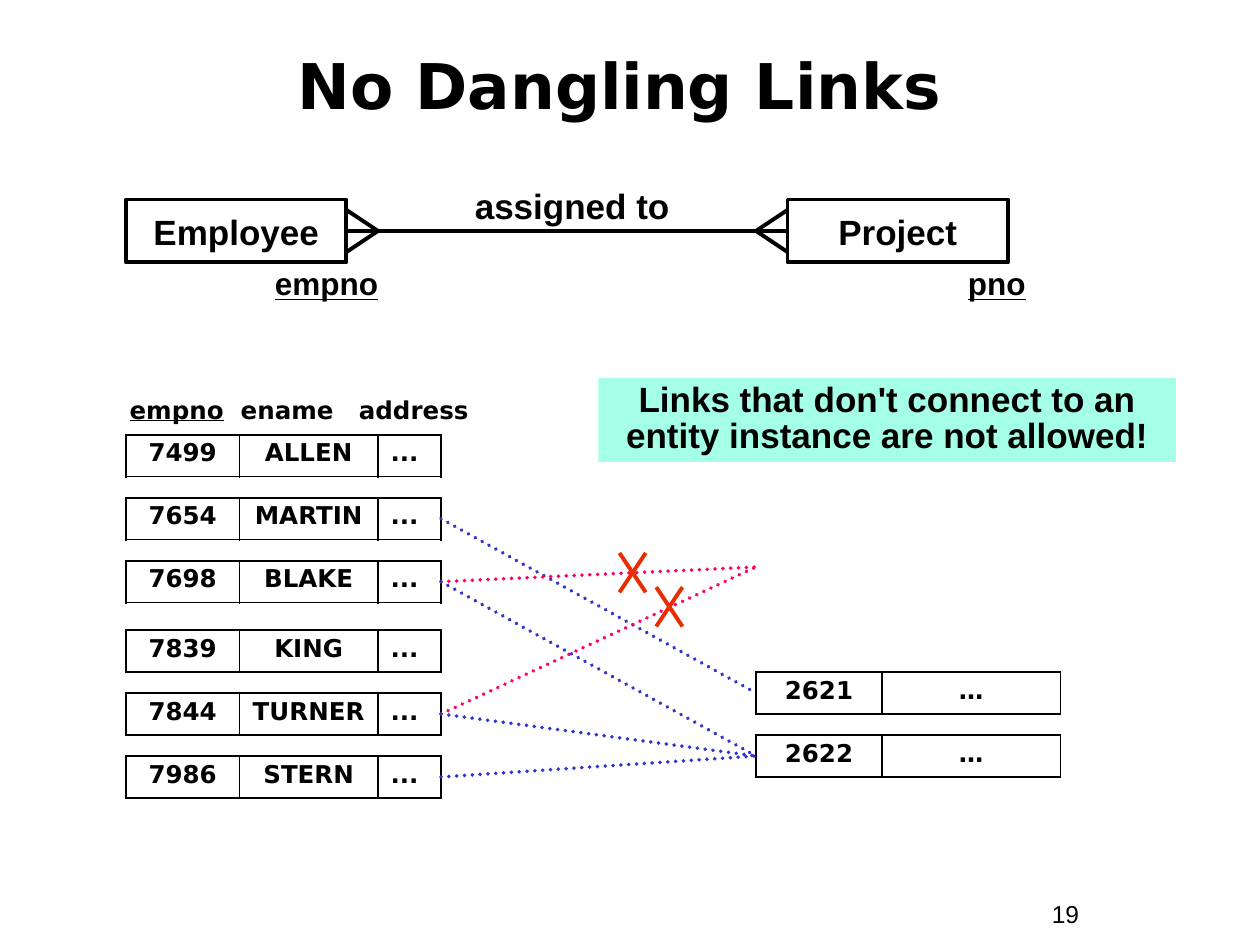
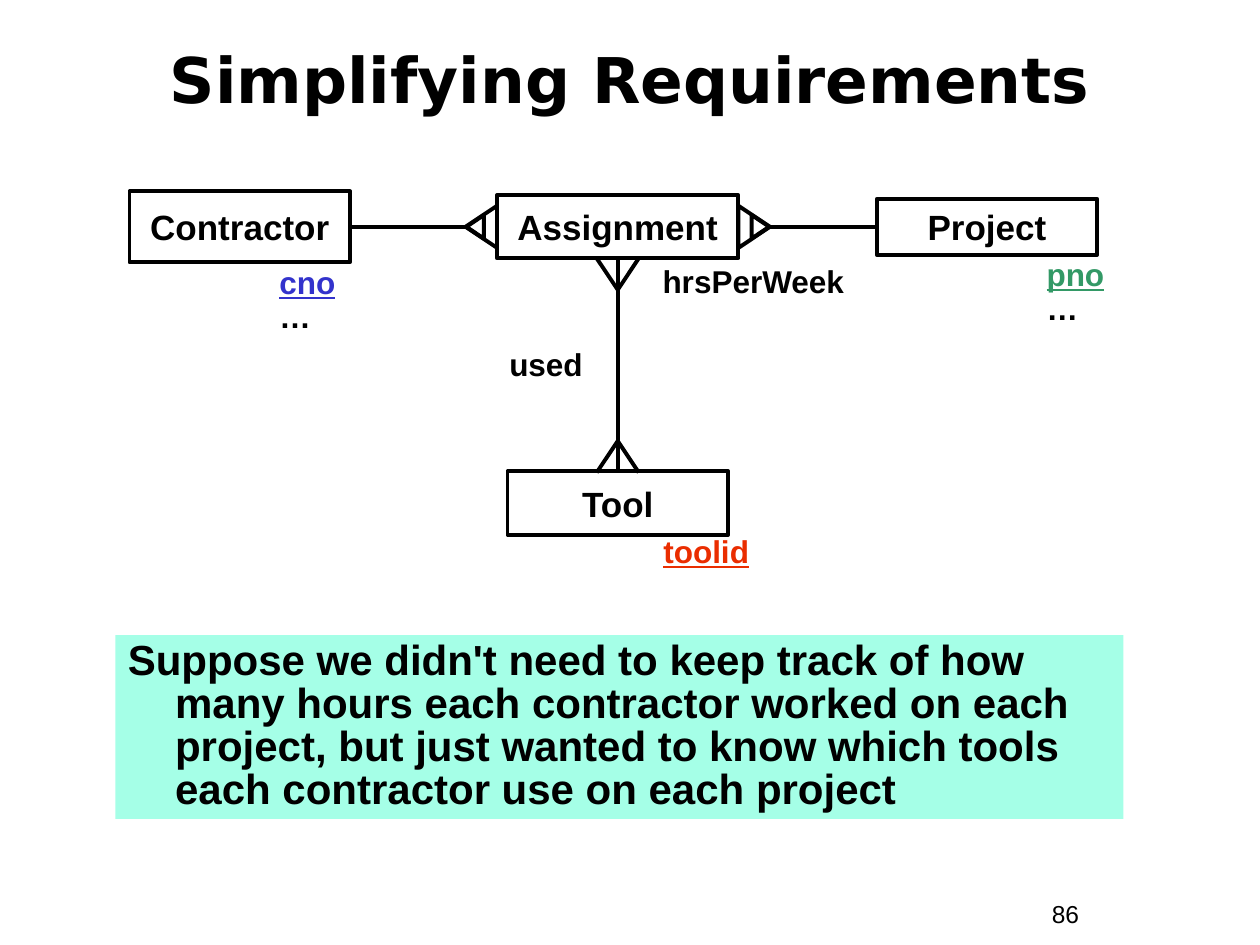
from lxml import etree
from pptx import Presentation
from pptx.dml.color import RGBColor
from pptx.enum import dml, shapes, text
from pptx.oxml import ns
from pptx.util import Pt

BLACK, MINT, BLUE, PINK, RED, GREEN = "000000", "A5FFE7", "3333CC", "FF0066", "EA2D00", "339966"
BODY_FONT, TITLE_FONT = "Arial", "DejaVu Sans"
LINE_WIDTH = 2.25
CENTER, LEFT = text.PP_ALIGN.CENTER, text.PP_ALIGN.LEFT
colour_of = RGBColor.from_string


def add_text(page, words, left, top, width, height, size=18, font=BODY_FONT, colour=BLACK,
             bold=True, underline=False, align=LEFT, spacing=1.0, middle=False,
             fill=None, outline=False):
    frame = Pt(left), Pt(top), Pt(width), Pt(height)
    if fill or outline:
        box = page.shapes.add_shape(shapes.MSO_SHAPE.RECTANGLE, *frame)
        box.shadow.inherit = False
        if fill:
            box.fill.solid()
            box.fill.fore_color.rgb = colour_of(fill)
            box.line.fill.background()
        else:
            box.fill.background()
            box.line.color.rgb = colour_of(BLACK)
            box.line.width = Pt(LINE_WIDTH)
    else:
        box = page.shapes.add_textbox(*frame)
    box.text_frame.word_wrap = True
    box.text_frame.vertical_anchor = text.MSO_ANCHOR.MIDDLE if middle else text.MSO_ANCHOR.TOP
    box.text_frame.text = words
    for para in box.text_frame.paragraphs:
        para.alignment = align
        para.line_spacing = spacing
        for span in para.runs:
            span.font.size = Pt(size)
            span.font.name = font
            span.font.bold = bold
            span.font.underline = underline
            span.font.color.rgb = colour_of(colour)
    return box


def add_line(page, x1, y1, x2, y2, colour=BLACK, dotted=False):
    line = page.shapes.add_connector(shapes.MSO_CONNECTOR.STRAIGHT, Pt(x1), Pt(y1), Pt(x2), Pt(y2))
    line.line.color.rgb = colour_of(colour)
    line.line.width = Pt(LINE_WIDTH)
    if dotted:
        line.line.dash_style = dml.MSO_LINE.ROUND_DOT
        line.line._get_or_add_ln().set("cap", "rnd")
    etree.SubElement(line._element.spPr, ns.qn("a:effectLst"))
    return line


deck = Presentation()
deck.slide_width, deck.slide_height = Pt(720), Pt(540)

pages = []
for title, number, left, width, spacing in [
    ("No Dangling Links", "19", 18, 672, 1.0),
    ("Simplifying Requirements", "86", 12, 696, 0.85),
]:
    page = deck.slides.add_slide(deck.slide_layouts[6])
    add_text(page, number, 594, 510, 66, 24, size=14, bold=False)
    add_text(page, title, left, 24, width, 48, size=36, font=TITLE_FONT, align=CENTER,
             spacing=spacing, middle=True)
    pages.append(page)
links_page, simplify_page = pages

entity_style = dict(size=20, align=CENTER, middle=True, outline=True)
key_style = dict(underline=True, spacing=0.9)

employee = add_text(links_page, "Employee", 72, 114, 126, 36, **entity_style)
project = add_text(links_page, "Project", 450, 114, 126, 36, **entity_style)
assigned = add_line(links_page, 198, 132, 450, 132)
assigned.begin_connect(employee, 3)
assigned.end_connect(project, 1)
for tip, base in [(216, 198), (432, 450)]:
    for spread in (-12, 12):
        add_line(links_page, tip, 132, base, 132 + spread)
add_text(links_page, "assigned to", 252, 102, 150, 32, size=20, align=CENTER)
add_text(links_page, "empno", 150, 150, 84, 27, **key_style)
add_text(links_page, "pno", 546, 150, 84, 27, **key_style)

header = add_text(links_page, "empno", 67, 222, 260, 24, size=14, font=TITLE_FONT, underline=True)
para = header.text_frame.paragraphs[0]
tabs = etree.SubElement(para._p.get_or_add_pPr(), ns.qn("a:tabLst"))
for stop in (63.5, 131):
    etree.SubElement(tabs, ns.qn("a:tab"), pos=str(Pt(stop)), algn="l")
span = para.add_run()
span.text = "\tename\taddress"
span.font.size = Pt(14)
span.font.name = TITLE_FONT
span.font.bold = True
span.font.color.rgb = colour_of(BLACK)

ROW_HEIGHT = 24
employee_tops = {"7499": 248.4, "7654": 284.4, "7698": 320.4, "7839": 360, "7844": 396, "7986": 432}
project_tops = {"2621": 384, "2622": 420}
names = ["ALLEN", "MARTIN", "BLAKE", "KING", "TURNER", "STERN"]
records = [((empno, name, "..."), 72, top, (64.8, 79.2, 36))
           for (empno, top), name in zip(employee_tops.items(), names)]
records += [((pno, "…"), 432, top, (72, 102)) for pno, top in project_tops.items()]

for values, left, top, widths in records:
    table = links_page.shapes.add_table(1, len(values), Pt(left), Pt(top), Pt(sum(widths)),
                                        Pt(ROW_HEIGHT)).table
    table.first_row = table.horz_banding = False
    for column, (value, width) in enumerate(zip(values, widths)):
        table.columns[column].width = Pt(width)
        cell = table.cell(0, column)
        cell.fill.background()
        cell.text_frame.text = value
        para = cell.text_frame.paragraphs[0]
        para.alignment = LEFT if value == "..." else CENTER
        para.line_spacing = 0.9
        font = para.runs[0].font
        font.size, font.name, font.bold = Pt(14), TITLE_FONT, True
        font.color.rgb = colour_of(BLACK)
        properties = cell._tc.get_or_add_tcPr()
        for position, side in enumerate(("lnL", "lnR", "lnT", "lnB")):
            border = etree.Element(ns.qn("a:" + side), w=str(Pt(1.08)))
            paint = etree.SubElement(border, ns.qn("a:solidFill"))
            etree.SubElement(paint, ns.qn("a:srgbClr"), val=BLACK)
            properties.insert(position, border)

MISSING_PROJECT_Y = 324
for empno, pno in [("7654", "2621"), ("7698", None), ("7698", "2622"),
                   ("7844", None), ("7844", "2622"), ("7986", "2622")]:
    end_y = project_tops[pno] + ROW_HEIGHT / 2 if pno else MISSING_PROJECT_Y
    add_line(links_page, 252, employee_tops[empno] + ROW_HEIGHT / 2, 432, end_y,
             BLUE if pno else PINK, dotted=True)

add_text(links_page, "Links that don't connect to an entity instance are not allowed!",
         342, 216, 330, 48, size=20, align=CENTER, spacing=0.85, fill=MINT)

for left, top in [(354, 316), (375, 335.5)]:
    right, bottom = left + 15, top + 22.5
    add_line(links_page, right, top, left, bottom, RED)
    add_line(links_page, left, top, right, bottom, RED)

AXIS_X, AXIS_Y = 353, 129.6
entities = {}
for name, center_x, center_y, width, height in [
    ("Tool", AXIS_X, 287.5, 126, 36.5),
    ("Contractor", 137, AXIS_Y, 126, 40.5),
    ("Project", 564, AXIS_Y, 126, 32),
    ("Assignment", AXIS_X, AXIS_Y, 138, 36),
]:
    entities[name] = add_text(simplify_page, name, center_x - width / 2, center_y - height / 2,
                              width, height, **entity_style)

used = add_line(simplify_page, AXIS_X, 147.6, AXIS_X, 269.25)
used.begin_connect(entities["Assignment"], 2)
used.end_connect(entities["Tool"], 0)
for tip, base in [(165.6, 147.6), (252, 270)]:
    for spread in (-12, 12):
        add_line(simplify_page, AXIS_X, tip, AXIS_X + spread, base)

contractor_line = add_line(simplify_page, 200, AXIS_Y, 266, AXIS_Y)
contractor_line.begin_connect(entities["Contractor"], 3)
project_line = add_line(simplify_page, 440, AXIS_Y, 501, AXIS_Y)
project_line.end_connect(entities["Project"], 1)

for direction, rotation in [(1, 90), (-1, 270)]:
    for offset, width, height in [(78, 24, 18), (81.5, 13.5, 10)]:
        center_x = AXIS_X + direction * offset
        triangle = simplify_page.shapes.add_shape(
            shapes.MSO_SHAPE.ISOSCELES_TRIANGLE, Pt(center_x - width / 2),
            Pt(AXIS_Y - height / 2), Pt(width), Pt(height))
        triangle.rotation = rotation
        triangle.shadow.inherit = False
        triangle.fill.background()
        triangle.line.color.rgb = colour_of(BLACK)
        triangle.line.width = Pt(LINE_WIDTH)

add_text(simplify_page, "toolid", 372, 303, 96, 27, colour=RED, **key_style)
add_text(simplify_page, "used", 264, 198, 96, 24, align=CENTER, spacing=0.8)
add_text(simplify_page, "hrsPerWeek", 371.5, 148.5, 132, 27, spacing=0.9)
for words, left, top, width, colour in [("cno\n…", 152.5, 149, 90, BLUE),
                                        ("pno\n…", 591, 144.5, 72, GREEN)]:
    key = add_text(simplify_page, words, left, top, width, 46, colour=colour, **key_style)
    dots = key.text_frame.paragraphs[1].runs[0].font
    dots.underline = False
    dots.color.rgb = colour_of(BLACK)

question = add_text(
    simplify_page,
    "Suppose we didn't need to keep track of how many hours each contractor worked on each "
    "project, but just wanted to know which tools each contractor use on each project",
    66, 363, 576, 105, size=24, spacing=0.85, fill=MINT)
indent = question.text_frame.paragraphs[0]._p.get_or_add_pPr()
indent.set("marL", str(Pt(27)))
indent.set("indent", str(-Pt(27)))

deck.save("out.pptx")
